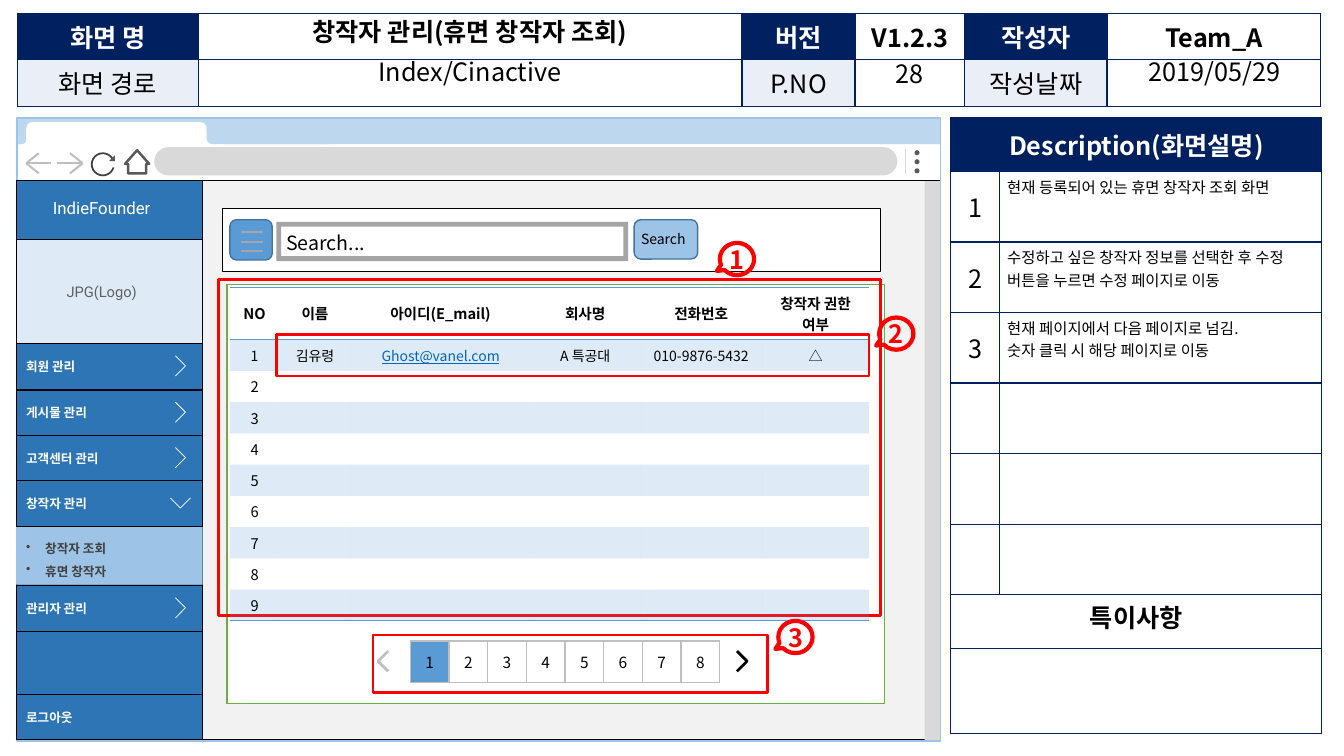
import pptx
import pptx.dml.color
import pptx.enum.shapes
import pptx.enum.text
import pptx.oxml.ns
import pptx.util
from lxml import etree

Inches, Pt = pptx.util.Inches, pptx.util.Pt
SHAPE = pptx.enum.shapes.MSO_SHAPE
ALIGN = pptx.enum.text.PP_ALIGN
ANCHOR = pptx.enum.text.MSO_ANCHOR
qn = pptx.oxml.ns.qn


class Theme:
    font, menu_font = "Noto Sans CJK KR", "Roboto"
    navy, pale, white, black = "002060", "EAEFF7", "FFFFFF", "000000"
    menu, logo, submenu, tab_bar = "2E75B6", "DEEBF7", "9DC3E6", "BDD7EE"
    accent, accent_edge, green, red, link = "5B9BD5", "43739E", "70AD47", "FF0000", "0563C1"
    page_gray, bar_gray, light, mid = "F2F2F2", "D9D9D9", "BFBFBF", "A5A5A5"
    dark, darker, logo_text = "595959", "404040", "5F5F5F"
    heading, search, brand, note, grid, small, menu_size = 18, 14, 12, 11, 10.5, 10, 9


HEADER_COLUMNS = [1.8, 5.39, 1.12, 1.09, 1.41, 2.12]
HEADER = [["화면 명", "", "버전", "V1.2.3", "작성자", "Team_A"],
          ["화면 경로", "", "P.NO", "", "작성날짜", ""]]
TITLE = "창작자 관리(휴면 창작자 조회)"
HEADER_VALUES = [("Index/Cinactive", 1.97, 5.38, 0.9), ("2019/05/29", 10.99, 2.11, 0.9),
                 ("28", 8.48, 1.08, 1)]
DESCRIPTION_TITLE, REMARKS_TITLE = "Description(화면설명)", "특이사항"
DESCRIPTIONS = ["현재 등록되어 있는 휴면 창작자 조회 화면",
                "수정하고 싶은 창작자 정보를 선택한 후 수정 버튼을 누르면 수정 페이지로 이동",
                "현재 페이지에서 다음 페이지로 넘김.\n숫자 클릭 시 해당 페이지로 이동"]
BRAND, LOGO_LABEL = "IndieFounder", "JPG(Logo)"
MENU = [("회원 관리", 3.41, "right"), ("게시물 관리", 3.87, "right"),
        ("고객센터 관리", 4.32, "right"), ("창작자 관리", 4.77, "down"),
        ("관리자 관리", 5.81, "right"), ("로그아웃", 6.89, None)]
SUBMENU = "창작자 조회\n휴면 창작자"
CREATOR_COLUMNS = [0.49, 0.71, 1.78, 1.09, 1.21, 1.06]
CREATOR_HEADINGS = ["NO", "이름", "아이디(E_mail)", "회사명", "전화번호", "창작자 권한 여부"]
FIRST_CREATOR = ["1", "김유령", "Ghost@vanel.com", "A 특공대", "010-9876-5432", "△"]
CREATOR_ROWS = 9
PAGES = 8
CALLOUTS = [("1", 7.14, 2.41), ("2", 8.72, 3.15), ("3", 7.72, 6.16)]
RED_FRAMES = {"list": (2.17, 2.77, 6.56, 3.34), "pages": (3.7, 6.3, 3.91, 0.57),
              "row": (2.74, 3.32, 5.88, 0.41)}

deck = pptx.Presentation()
deck.slide_width, deck.slide_height = Inches(13.33), Inches(7.5)
page = deck.slides.add_slide(deck.slide_layouts[5])
shapes = page.shapes


def rgb(color):
    return pptx.dml.color.RGBColor.from_string(color)


def write(frame, text, size, color=Theme.black, font=Theme.font, bold=False, underline=False,
          align=ALIGN.CENTER, spacing=None, bullet=None):
    for index, line in enumerate(text.split("\n")):
        para = frame.add_paragraph() if index else frame.paragraphs[0]
        para.alignment = align
        if spacing:
            para.line_spacing = spacing
        if bullet:
            properties = para._p.get_or_add_pPr()
            properties.set("marL", str(Inches(0.19)))
            properties.set("indent", str(-Inches(0.19)))
            etree.SubElement(properties, qn("a:buChar"), char=bullet)
        if not line:
            etree.SubElement(para._p, qn("a:endParaRPr"), sz=str(int(size * 100)))
            continue
        span = para.add_run()
        span.text = line
        span.font.size, span.font.bold, span.font.underline = Pt(size), bold, underline
        span.font.color.rgb, span.font.name = rgb(color), font
        etree.SubElement(span.font._element, qn("a:ea"), typeface=Theme.font)


def set_frame(frame, insets=(0.1, 0.05, 0.1, 0.05), anchor=ANCHOR.MIDDLE, wrap=True):
    frame.margin_left, frame.margin_top, frame.margin_right, frame.margin_bottom = map(Inches, insets)
    frame.vertical_anchor, frame.word_wrap = anchor, wrap


def set_look(shape, fill, line, weight):
    shape.shadow.inherit = False
    if fill:
        shape.fill.solid()
        shape.fill.fore_color.rgb = rgb(fill)
    else:
        shape.fill.background()
    if line:
        shape.line.color.rgb, shape.line.width = rgb(line), Pt(weight)
    else:
        shape.line.fill.background()


def add_box(place, fill=None, line=None, weight=0.5, kind=SHAPE.RECTANGLE, adjust=()):
    box = shapes.add_shape(kind, *map(Inches, place))
    set_look(box, fill, line, weight)
    for index, value in enumerate(adjust):
        box.adjustments[index] = value
    return box


def add_line(x1, y1, x2, y2, color, weight):
    line = shapes.add_connector(pptx.enum.shapes.MSO_CONNECTOR.STRAIGHT, *map(Inches, (x1, y1, x2, y2)))
    line.line.color.rgb, line.line.width = rgb(color), Pt(weight)
    etree.SubElement(line._element.spPr, qn("a:effectLst"))


def add_chevron(x, y, direction, color, weight):
    """Draw an open angle whose middle is at x, y."""
    points = {"right": [(-0.05, -0.1), (0.05, 0), (-0.05, 0.1)],
              "left": [(0.05, -0.1), (-0.05, 0), (0.05, 0.1)],
              "down": [(-0.1, -0.05), (0, 0.05), (0.1, -0.05)]}[direction]
    corners = [(Inches(x + dx), Inches(y + dy)) for dx, dy in points]
    builder = shapes.build_freeform(*corners[0])
    builder.add_line_segments(corners[1:], close=False)
    set_look(builder.convert_to_shape(), None, color, weight)


def add_label(place, text, size, **formats):
    box = shapes.add_textbox(*map(Inches, place))
    set_frame(box.text_frame)
    write(box.text_frame, text, size, **formats)


def add_grid(left, top, widths, heights):
    frame = shapes.add_table(len(heights), len(widths), *map(Inches, (left, top, sum(widths), sum(heights))))
    table = frame.table
    table.first_row = table.horz_banding = False
    table._tbl.tblPr.find(qn("a:tableStyleId")).text = "{2D5ABB26-0587-4C30-8999-92F81FD0307C}"
    for column, width in zip(table.columns, widths):
        column.width = Inches(width)
    for row, height in zip(table.rows, heights):
        row.height = Inches(height)
    return table


def set_cell(cell, text, size, fill=None, border=None, edges="LRTB", alpha=None,
             anchor=ANCHOR.MIDDLE, insets=(0.1, 0.05, 0.1, 0.05), **formats):
    cell.margin_left, cell.margin_top, cell.margin_right, cell.margin_bottom = map(Inches, insets)
    cell.vertical_anchor = anchor
    write(cell.text_frame, text, size, **formats)
    properties = cell._tc.get_or_add_tcPr()
    if fill:
        cell.fill.solid()
        cell.fill.fore_color.rgb = rgb(fill)
        if alpha:
            etree.SubElement(properties.find(".//" + qn("a:srgbClr")), qn("a:alpha"), val=str(alpha * 1000))
    else:
        cell.fill.background()
    for position, edge in enumerate(edges if border else ""):
        line = etree.Element(qn("a:ln" + edge), w=str(Pt(1)))
        solid = etree.SubElement(line, qn("a:solidFill"))
        etree.SubElement(solid, qn("a:srgbClr"), val=border)
        properties.insert(position, line)


def draw_browser():
    add_box((0.16, 1.78, 9.16, 5.56), Theme.page_gray, Theme.black)
    add_box((9.17, 1.79, 0.16, 5.55), Theme.bar_gray)
    add_box((0.17, 1.42, 9.16, 0.37), Theme.white, Theme.black)
    add_box((1.53, 1.46, 7.37, 0.28), Theme.bar_gray, kind=SHAPE.ROUNDED_RECTANGLE, adjust=[0.5])
    for index in range(3):
        add_box((9.07, 1.49 + 0.09 * index, 0.05, 0.05), Theme.dark, kind=SHAPE.OVAL)
    add_line(8.98, 1.48, 8.98, 1.73, Theme.bar_gray, 1)
    add_box((0.17, 1.17, 9.16, 0.26), Theme.tab_bar)
    for tip, tail in ((0.26, 0.51), (0.82, 0.57)):
        middle = (tip + tail) / 2
        for x, y in ((tail, 1.62), (middle, 1.52), (middle, 1.72)):
            add_line(tip, 1.62, x, y, Theme.light, 1.5)
    add_box((0.91, 1.52, 0.22, 0.22), None, Theme.darker, 1.25, SHAPE.OVAL)
    add_box((1.09, 1.58, 0.08, 0.08), Theme.white)
    add_box((1.08, 1.54, 0.06, 0.06), Theme.dark, kind=SHAPE.ISOSCELES_TRIANGLE, adjust=[1])
    home = add_box((1.24, 1.49, 0.24, 0.23), Theme.white, Theme.dark, 1.75, SHAPE.DOWN_ARROW, [0.75, 0.59])
    home.rotation = 180
    for place, fill, radius in (((0.26, 1.21, 1.79, 0.23), Theme.white, 0.28),
                                ((1.88, 1.3, 0.34, 0.15), Theme.white, 0.17),
                                ((2.05, 1.23, 1.27, 0.2), Theme.tab_bar, 0.28),
                                ((0.21, 1.3, 0.13, 0.15), Theme.white, 0.17),
                                ((0.17, 1.23, 0.09, 0.2), Theme.tab_bar, 0.46)):
        add_box(place, fill, kind=SHAPE.ROUNDED_RECTANGLE, adjust=[radius])
    add_box((0.17, 1.17, 9.16, 6.18), None, Theme.submenu, 1)


def draw_header():
    table = add_grid(0.17, 0.13, HEADER_COLUMNS, [0.46, 0.46])
    for r, texts in enumerate(HEADER):
        for c, text in enumerate(texts):
            is_label = c % 2 == 0
            fill = (Theme.navy, Theme.pale)[r] if is_label else Theme.white
            set_cell(table.cell(r, c), text, Theme.heading, fill, Theme.navy, anchor=ANCHOR.TOP, bold=r == 0,
                     color=Theme.white if is_label and r == 0 else Theme.black)
    title = shapes.title
    title.left, title.top, title.width, title.height = map(Inches, (1.97, 0.14, 5.38, 0.38))
    set_frame(title.text_frame)
    write(title.text_frame, TITLE, Theme.heading, bold=True, spacing=0.9)
    shapes._spTree.append(title._element)
    for text, left, width, spacing in HEADER_VALUES:
        add_label((left, 0.54, width, 0.38), text, Theme.heading, spacing=spacing)


def draw_sidebar():
    insets = (0.1, 0.05, 0.25, 0.05)
    items = [(BRAND, 1.79, 5.55, Theme.menu, Theme.brand, Theme.white),
             (LOGO_LABEL, 2.38, 1.03, Theme.logo, Theme.grid, Theme.logo_text)]
    for text, top, height, fill, size, color in items:
        box = add_box((0.16, top, 1.85, height), fill, Theme.black)
        is_brand = text == BRAND
        set_frame(box.text_frame, (0.1, 0.17, 0.25, 0.05) if is_brand else insets,
                  ANCHOR.TOP if is_brand else ANCHOR.MIDDLE)
        write(box.text_frame, text, size, color=color, font=Theme.menu_font)
    menu_format = dict(size=Theme.menu_size, font=Theme.menu_font, bold=True, align=ALIGN.LEFT)
    box = add_box((0.16, 5.23, 1.85, 0.57), Theme.submenu)
    set_frame(box.text_frame, insets)
    write(box.text_frame, SUBMENU, color=Theme.darker, spacing=1.5, bullet="•", **menu_format)
    for text, top, direction in MENU:
        box = add_box((0.16, top, 1.85, 0.45), Theme.menu, Theme.black)
        set_frame(box.text_frame, insets)
        write(box.text_frame, text, color=Theme.white, **menu_format)
        if direction:
            add_chevron(1.79, top + 0.22, direction, Theme.white, 0.5)


def draw_descriptions():
    table = add_grid(9.43, 1.17, [0.48, 3.2], [0.53] + [0.7] * 6 + [0.53, 0.85])
    for r in (0, 7, 8):
        table.cell(r, 0).merge(table.cell(r, 1))
    style = dict(border=Theme.navy, insets=(0.08, 0.04, 0.08, 0.04))
    for r in range(9):
        number, note = (str(r), DESCRIPTIONS[r - 1]) if 1 <= r <= len(DESCRIPTIONS) else ("", "")
        number = {0: DESCRIPTION_TITLE, 7: REMARKS_TITLE}.get(r, number)
        set_cell(table.cell(r, 0), number, Theme.heading, Theme.navy if r == 0 else None,
                 anchor=ANCHOR.TOP if r == 7 else ANCHOR.MIDDLE, bold=r in (0, 7),
                 color=Theme.white if r == 0 else Theme.black, **style)
        set_cell(table.cell(r, 1), note, Theme.note, anchor=ANCHOR.TOP, align=ALIGN.LEFT, **style)


def draw_search():
    add_box((2.21, 2.07, 6.52, 0.62), Theme.white, Theme.black)
    add_box((2.28, 2.18, 0.42, 0.4), Theme.accent, Theme.accent_edge, 1, SHAPE.ROUNDED_RECTANGLE)
    for y in (2.3, 2.4, 2.49):
        add_line(2.39, y, 2.61, y, Theme.mid, 1.5)
    add_box((2.74, 2.2, 3.49, 0.39), Theme.mid, kind=SHAPE.FRAME, adjust=[0.125])
    add_label((2.74, 2.24, 1.11, 0.34), "Search...", Theme.search, align=ALIGN.LEFT)
    add_box((6.29, 2.18, 0.63, 0.39), Theme.submenu, Theme.accent_edge, 1, SHAPE.ROUNDED_RECTANGLE)
    add_label((6.26, 2.24, 0.76, 0.27), "Search", Theme.small, align=ALIGN.LEFT)


def draw_creators():
    add_box((2.25, 2.82, 6.52, 4.16), Theme.white, Theme.green, 1)
    add_box(RED_FRAMES["list"], None, Theme.red, 2)
    rows = [CREATOR_HEADINGS, FIRST_CREATOR]
    rows += [[str(number)] + [""] * 5 for number in range(2, CREATOR_ROWS + 1)]
    table = add_grid(2.28, 2.85, CREATOR_COLUMNS, [0.52] + [0.31] * CREATOR_ROWS)
    for r, texts in enumerate(rows):
        for c, text in enumerate(texts):
            is_mail = "@" in text
            set_cell(table.cell(r, c), text, Theme.small if r == 1 else Theme.grid,
                     Theme.accent if r % 2 else None, alpha=20, bold=r == 0, underline=is_mail,
                     border=Theme.accent if r in (0, CREATOR_ROWS) else None,
                     edges="TB" if r == 0 else "B", color=Theme.link if is_mail else Theme.black)


def draw_pages():
    table = add_grid(4.07, 6.36, [3.07 / PAGES] * PAGES, [0.41])
    for index in range(PAGES):
        set_cell(table.cell(0, index), str(index + 1), Theme.note,
                 Theme.white if index else Theme.accent, Theme.light)
    add_chevron(7.36, 6.56, "right", Theme.black, 2)
    add_chevron(3.8, 6.56, "left", Theme.light, 2)


def draw_callouts():
    for name in ("pages", "row"):
        add_box(RED_FRAMES[name], None, Theme.red, 2)
    for text, left, top in CALLOUTS:
        box = add_box((left, top, 0.34, 0.32), None, Theme.red, 3, SHAPE.OVAL_CALLOUT, [-0.59, 0.37])
        set_frame(box.text_frame, (0, 0, 0, 0), wrap=False)
        write(box.text_frame, text, Theme.heading, color=Theme.red, bold=True)


def main():
    for draw in (draw_browser, draw_header, draw_sidebar, draw_descriptions, draw_search,
                 draw_creators, draw_pages, draw_callouts):
        draw()
    deck.save("out.pptx")


if __name__ == "__main__":
    main()
